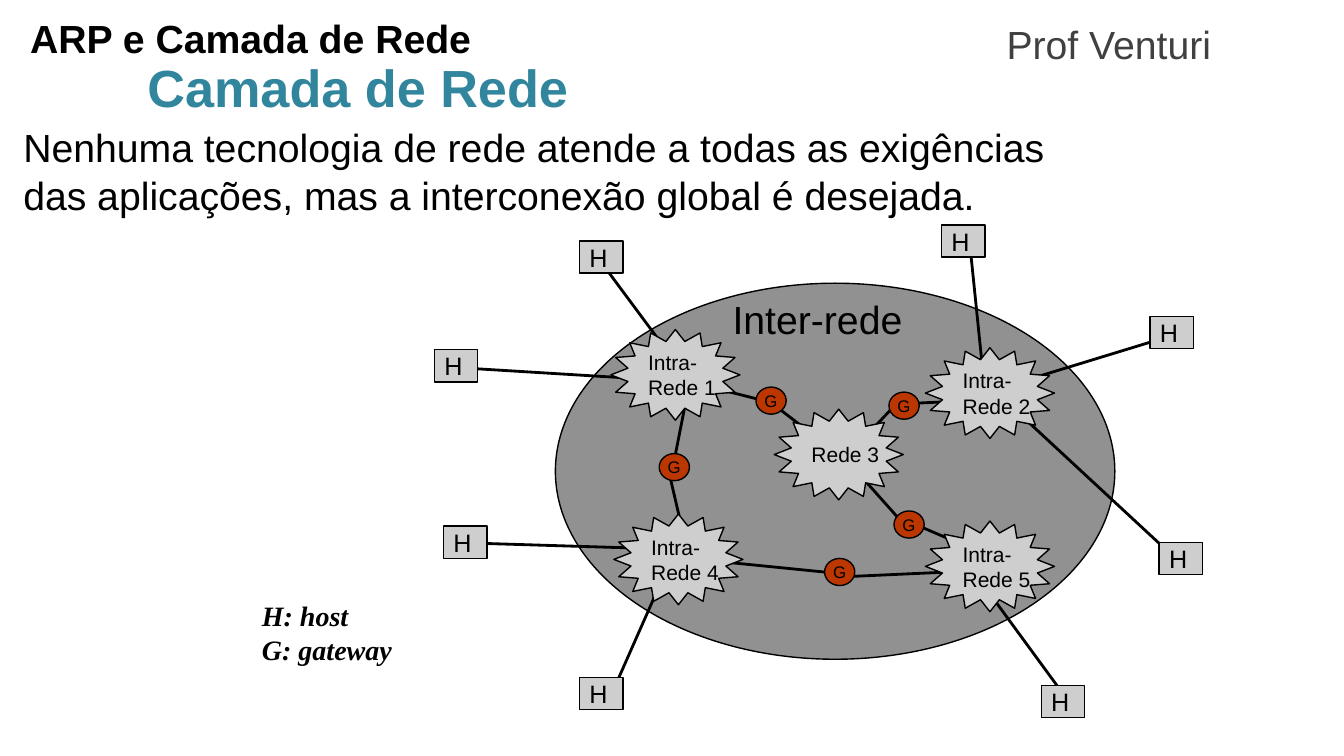
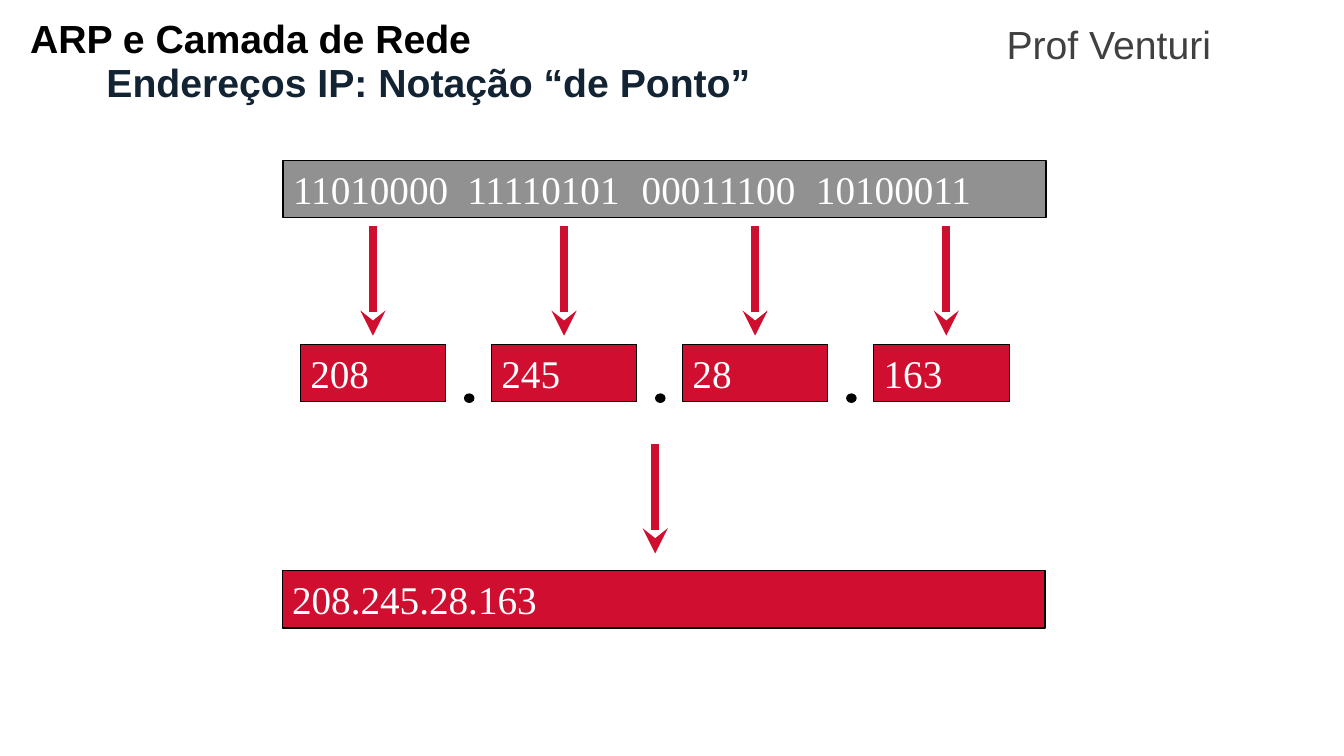
from lxml import etree
from pptx import Presentation
from pptx.dml.color import RGBColor
from pptx.enum import shapes, text
from pptx.oxml import ns
from pptx.util import Pt

BLACK = RGBColor(0x00, 0x00, 0x00)
WHITE = RGBColor(0xFF, 0xFF, 0xFF)
DARK_GRAY = RGBColor(0x40, 0x40, 0x40)
GRAY = RGBColor(0x91, 0x91, 0x91)
LIGHT_GRAY = RGBColor(0xCE, 0xCE, 0xCE)
TEAL = RGBColor(0x31, 0x85, 0x9C)
NAVY = RGBColor(0x12, 0x23, 0x34)
ORANGE = RGBColor(0xBC, 0x37, 0x00)
RED = RGBColor(0xCF, 0x0E, 0x30)

RECTANGLE = shapes.MSO_SHAPE.RECTANGLE
OVAL = shapes.MSO_SHAPE.OVAL
STAR = shapes.MSO_SHAPE.STAR_16_POINT
LEFT = text.PP_ALIGN.LEFT
CENTER = text.PP_ALIGN.CENTER

LARGE = {"name": "Arial", "size": Pt(28), "bold": False}
HEADING = {**LARGE, "bold": True}
HOST_FONT = {"name": "Arial", "size": Pt(18)}
NETWORK_FONT = {"name": "Arial", "size": Pt(15)}
GATEWAY_FONT = {"name": "Arial", "size": Pt(12)}
NUMBER_FONT = {"name": "Times New Roman", "size": Pt(28)}
LEGEND_FONT = {"name": "Times New Roman", "size": Pt(20), "bold": True, "italic": True}

HOSTS = [(316.8, 375.8), (672.5, 160.6), (821.5, 226.1), (828, 387.4),
         (310.3, 249.8), (414, 172.1), (743.8, 489.6), (414, 483.8)]
NETWORKS = [("Intra-\nRede 1", 436.3, 235.4), ("Intra-\nRede 2", 661, 248.4),
            ("Rede 3", 553, 292.3), ("Intra-\nRede 4", 438.5, 367.2),
            ("Intra-\nRede 5", 661, 372.2)]
GATEWAYS = [(635, 280.1), (589, 398.9), (540, 276.5), (638.6, 365), (470.9, 324)]
HOST_LINKS = [(427.7, 185, 483.8, 260.6), (330.5, 262.8, 483.8, 272.2),
              (343.4, 388.1, 483.8, 392.4), (434.2, 501.8, 477.4, 403.9),
              (763.9, 501.8, 697, 410.4), (847.4, 406.1, 709.9, 278.6),
              (841.7, 238.3, 709.9, 278.6), (692.6, 172.8, 703.4, 278.6)]
GATEWAY_LINKS = [(484.6, 270.7, 547.2, 286.6), (701.3, 285.8, 639.4, 288.7),
                 (604.1, 326.9, 637.2, 291.6), (651.6, 373.7, 707, 397.4),
                 (649.4, 378.7, 601.9, 325.4), (491.8, 398.9, 599.8, 409.7),
                 (607, 411.8, 702, 407.5), (552.2, 288.7, 592.6, 319.7),
                 (491.8, 277.2, 481, 331.9), (493.9, 406.1, 477.4, 335.5)]

BITS = ["11010000", "11110101", "00011100", "10100011"]
OCTETS = ["208", "245", "28", "163"]
OCTET_PITCH = 136.5
BITS_PITCH = 124.5


def apply_format(target, values):
    for name, value in values.items():
        setattr(target, name, value)


def write(shape, content, font, color, alignment=LEFT, spacing=None, **frame_format):
    frame = shape.text_frame
    frame.text = content
    apply_format(frame, frame_format)
    for paragraph in frame.paragraphs:
        apply_format(paragraph, {"alignment": alignment, "line_spacing": spacing,
                                 "space_before": Pt(0)})
        for run in paragraph.runs:
            apply_format(run.font, font)
            run.font.color.rgb = color


def place(shape, left, top, width, height):
    apply_format(shape, {"left": Pt(left), "top": Pt(top),
                         "width": Pt(width), "height": Pt(height)})


def add_text(slide, box, content, font, color, **options):
    shape = slide.shapes.add_textbox(*map(Pt, box))
    write(shape, content, font, color, **options)
    return shape


def add_node(slide, kind, box, fill, content="", font=None, color=BLACK, margins=(7.2, 3.6)):
    """Outlined shape with a left-aligned label."""
    shape = slide.shapes.add_shape(kind, *map(Pt, box))
    shape.shadow.inherit = False
    shape.fill.solid()
    shape.fill.fore_color.rgb = fill
    shape.line.color.rgb = BLACK
    shape.line.width = Pt(1)
    if content:
        across, down = map(Pt, margins)
        write(shape, content, font, color, word_wrap=False,
              vertical_anchor=text.MSO_ANCHOR.MIDDLE,
              margin_left=across, margin_right=across,
              margin_top=down, margin_bottom=down)
    return shape


def add_line(slide, ends, color=BLACK, width=2, arrow=False):
    connector = slide.shapes.add_connector(shapes.MSO_CONNECTOR.STRAIGHT, *map(Pt, ends))
    connector.line.color.rgb = color
    connector.line.width = Pt(width)
    properties = connector.element.spPr
    if arrow:
        outline = properties.find(ns.qn("a:ln"))
        etree.SubElement(outline, ns.qn("a:tailEnd"), type="stealth")
    etree.SubElement(properties, ns.qn("a:effectLst"))


def add_red_arrow(slide, x, top, bottom):
    add_line(slide, (x, top, x, bottom), RED, 6, arrow=True)


def add_number_box(slide, box, fill, content):
    return add_node(slide, RECTANGLE, box, fill, content, NUMBER_FONT, WHITE)


def set_title(slide, content, box, color, size=28):
    title = slide.shapes.title
    place(title, *box)
    write(title, content, {**HEADING, "size": Pt(size)}, color, alignment=CENTER,
          vertical_anchor=text.MSO_ANCHOR.TOP, auto_size=text.MSO_AUTO_SIZE.NONE)


def set_body(slide, content, box):
    body = slide.placeholders[1]
    place(body, *box)
    write(body, content, LARGE, BLACK, spacing=1.04,
          vertical_anchor=text.MSO_ANCHOR.TOP, auto_size=text.MSO_AUTO_SIZE.NONE)
    for paragraph in body.text_frame.paragraphs:
        properties = paragraph._p.get_or_add_pPr()
        properties.set("marL", "0")
        properties.set("indent", "0")
        etree.SubElement(properties, ns.qn("a:buNone"))


def add_tabs(shape, positions):
    properties = shape.text_frame.paragraphs[0]._p.get_or_add_pPr()
    tabs = etree.SubElement(properties, ns.qn("a:tabLst"))
    for position in positions:
        etree.SubElement(tabs, ns.qn("a:tab"), pos=str(Pt(position)), algn="l")


def move_header_to_layout(slide):
    """Put the running header on the slide's layout, so that all slides share it."""
    layout = slide.slide_layout
    for placeholder in list(layout.placeholders)[2:]:
        layout.shapes.element.remove(placeholder.element)
    headers = [
        add_text(slide, (14.4, 10.8, 408, 44), "ARP e Camada de Rede", HEADING, BLACK,
                 spacing=0.9, word_wrap=True),
        add_text(slide, (670.3, 10.8, 243.4, 36), "Prof Venturi", LARGE, DARK_GRAY,
                 alignment=CENTER, word_wrap=True),
    ]
    for header in headers:
        layout.shapes.element.append(header.element)


def build_network_slide(slide):
    set_title(slide, "Camada de Rede", (-50.4, 36, 612, 41.8), TEAL, 37.3)
    set_body(slide, "Nenhuma tecnologia de rede atende a todas as exigências das "
             "aplicações, mas a interconexão global é desejada.", (9.4, 82.8, 794.9, 324.7))
    add_node(slide, OVAL, (396.7, 202.3, 399.6, 268.6), GRAY)
    for ends in HOST_LINKS + GATEWAY_LINKS:
        add_line(slide, ends)
    for name, left, top in NETWORKS:
        add_node(slide, STAR, (left, top, 92.2, 64.8), LIGHT_GRAY, name, NETWORK_FONT,
                 margins=(5, 2.2))
    for left, top in GATEWAYS:
        add_node(slide, OVAL, (left, top, 21.6, 19.4), ORANGE, "G", GATEWAY_FONT,
                 margins=(2.9, 1.4))
    for left, top in HOSTS:
        add_node(slide, RECTANGLE, (left, top, 31, 23), LIGHT_GRAY, "H", HOST_FONT)
    grow = {"word_wrap": False, "auto_size": text.MSO_AUTO_SIZE.SHAPE_TO_FIT_TEXT}
    add_text(slide, (516.2, 207.4, 137.5, 41), "Inter-rede", LARGE, BLACK, **grow)
    add_text(slide, (180, 424.1, 108, 55.4), "H: host\nG: gateway", LEGEND_FONT, BLACK, **grow)


def build_address_slide(slide):
    set_title(slide, "Endereços IP: Notação “de Ponto”", (0, 38.2, 612, 41.8), NAVY)
    body = slide.placeholders[1]
    body.element.getparent().remove(body.element)
    bits = add_number_box(slide, (202.3, 114.5, 545, 41), GRAY, "\t".join(BITS))
    add_tabs(bits, [BITS_PITCH * index for index in range(1, len(BITS))])
    last = len(OCTETS) - 1
    for index, octet in enumerate(OCTETS):
        offset = index * OCTET_PITCH
        width = 97.2 if index == last else 103.7
        add_number_box(slide, (214.6 + offset, 246, width, 41), RED, octet)
        add_red_arrow(slide, 266.4 + offset, 161.3, 239.8)
        if index < last:
            add_node(slide, OVAL, (331.9 + offset, 281.5, 6.5, 5.8), BLACK)
    add_number_box(slide, (201.6, 407.5, 545, 41), RED, ".".join(OCTETS))
    add_red_arrow(slide, 468, 317.5, 395.3)


def main():
    presentation = Presentation()
    presentation.slide_width = Pt(960)
    presentation.slide_height = Pt(540)
    layout = presentation.slide_layouts[1]
    network, address = [presentation.slides.add_slide(layout) for _ in range(2)]
    move_header_to_layout(network)
    build_network_slide(network)
    build_address_slide(address)
    presentation.save("out.pptx")


if __name__ == "__main__":
    main()
